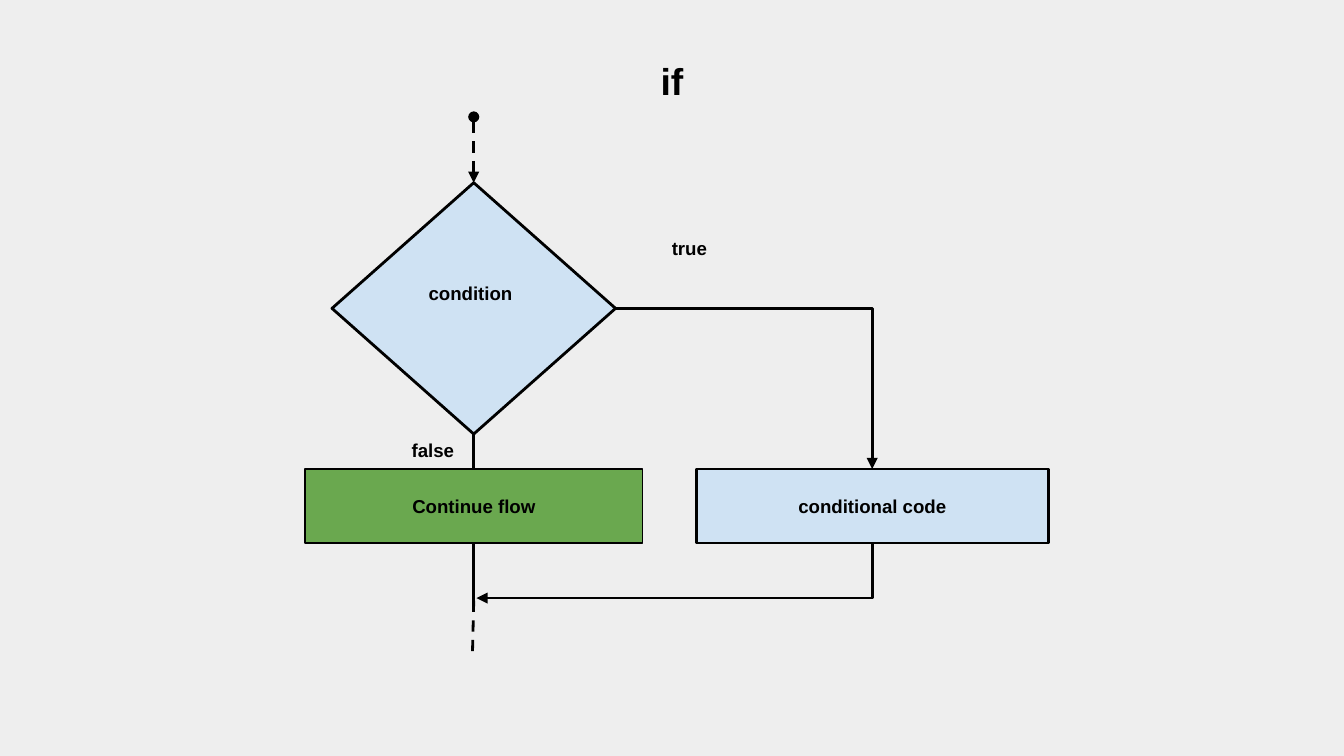
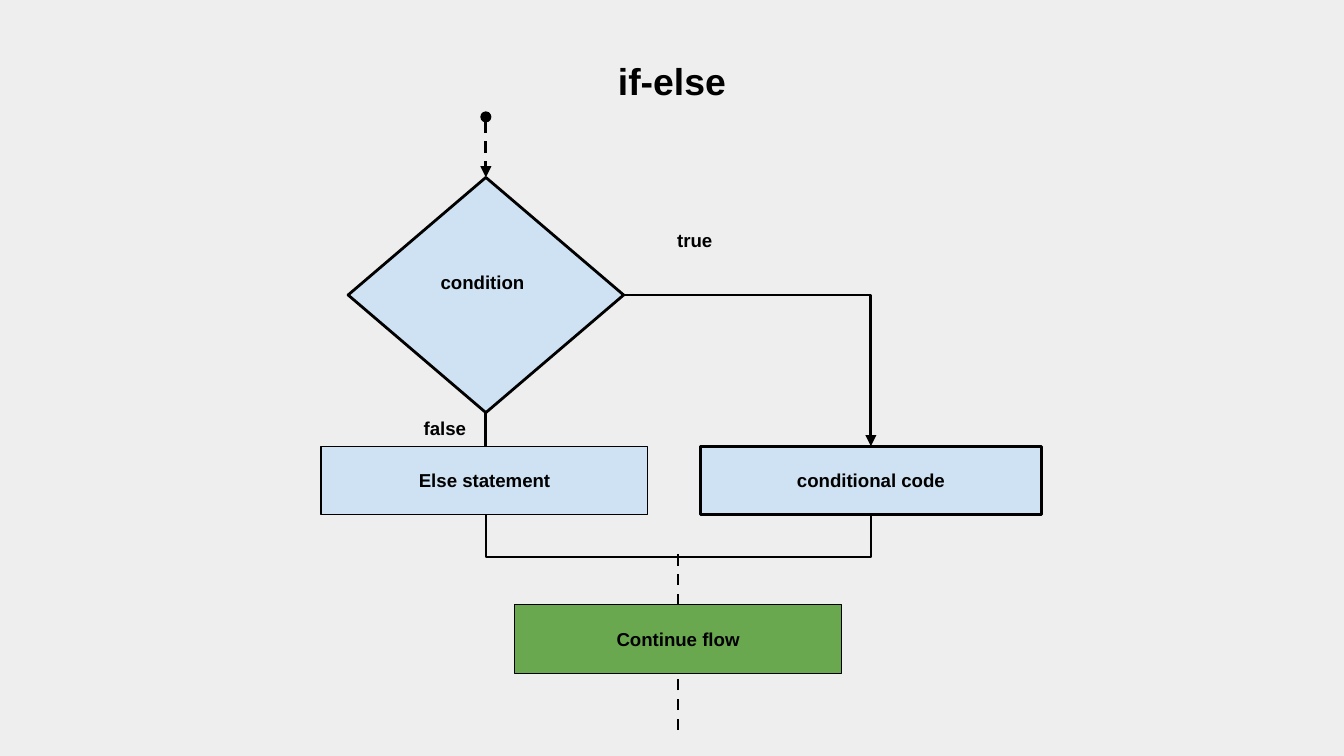
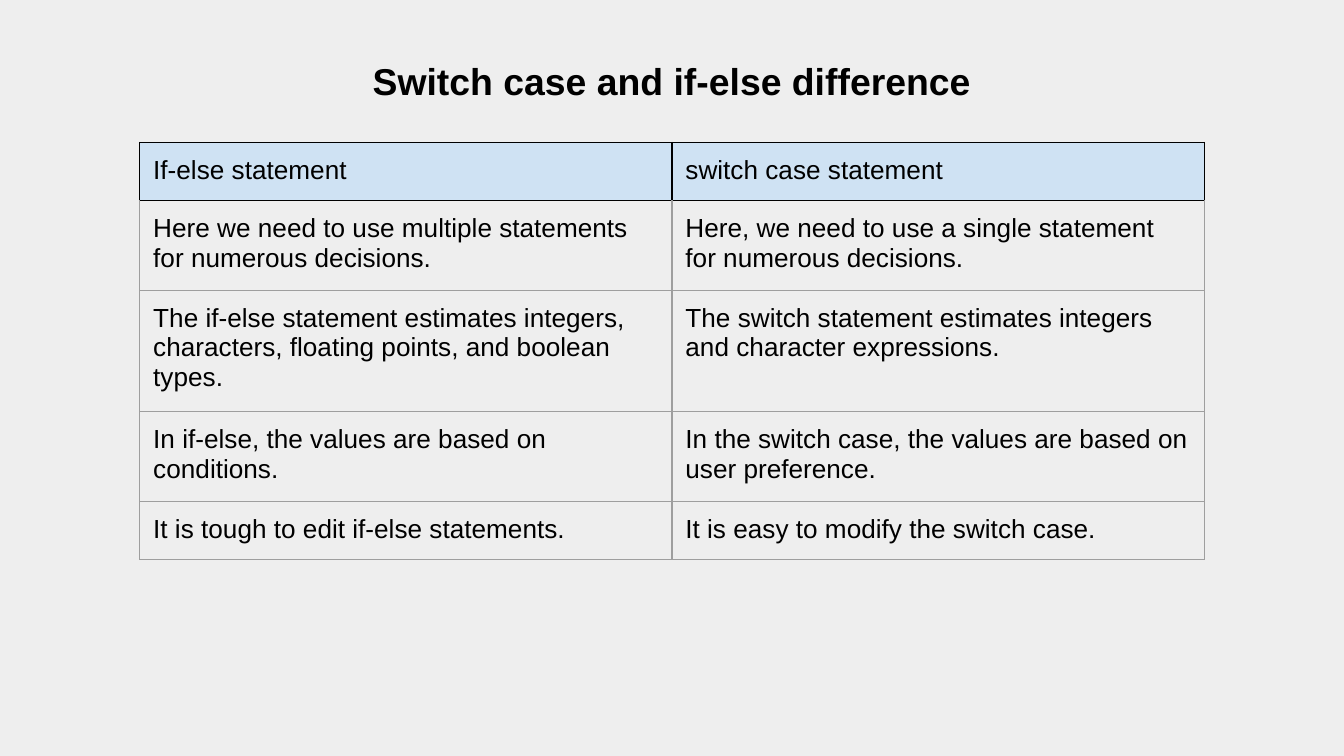
from lxml.etree import SubElement
from pptx import Presentation
from pptx.dml.color import RGBColor
from pptx.enum.dml import MSO_LINE
from pptx.enum.shapes import MSO_CONNECTOR, MSO_SHAPE
from pptx.enum.text import MSO_ANCHOR, MSO_AUTO_SIZE, PP_ALIGN
from pptx.oxml.ns import qn
from pptx.util import Inches, Pt

BLACK, BLUE, GREEN, GRAY, PAPER = "000000", "CFE2F3", "6AA84F", "9E9E9E", "EEEEEE"
FONT = "Arial"
INSET = Inches(0.1)
LABEL_HEIGHT = 0.37
ENTRY_TOP = 0.87

IF_FLOW = {
    "title": "if",
    "diamond": (2.47, 1.36, 2.11, 1.87),
    "labels": [
        ("condition", 2.19, 2.01, 2.62, PP_ALIGN.CENTER),
        ("true", 4.9, 1.68, 0.62, PP_ALIGN.LEFT),
        ("false", 2.82, 3.18, 0.8, PP_ALIGN.CENTER),
    ],
    "true_box": ("conditional code", (5.18, 3.49, 2.62, 0.55), BLUE, 1.5),
    "false_box": ("Continue flow", (2.27, 3.49, 2.51, 0.55), GREEN, 0.75),
}
IF_ELSE_FLOW = {
    "title": "if-else",
    "diamond": (2.59, 1.32, 2.05, 1.75),
    "labels": [
        ("condition", 2.32, 1.93, 2.54, PP_ALIGN.CENTER),
        ("true", 4.94, 1.62, 0.6, PP_ALIGN.LEFT),
        ("false", 2.92, 3.02, 0.78, PP_ALIGN.CENTER),
    ],
    "true_box": ("conditional code", (5.21, 3.32, 2.54, 0.51), BLUE, 1.5),
    "false_box": ("Else statement", (2.39, 3.32, 2.43, 0.51), BLUE, 0.75),
}
FINAL_BOX = ("Continue flow", (3.83, 4.5, 2.43, 0.51), GREEN, 0.75)

COMPARISON_TITLE = "Switch case and if-else difference"
COMPARISON = [
    ("If-else statement", "switch case statement"),
    ("Here we need to use multiple statements for numerous decisions.",
     "Here, we need to use a single statement for numerous decisions."),
    ("The if-else statement estimates integers, characters, floating points, and boolean types.",
     "The switch statement estimates integers and character expressions."),
    ("In if-else, the values are based on conditions.",
     "In the switch case, the values are based on user preference."),
    ("It is tough to edit if-else statements.", "It is easy to modify the switch case."),
]


def color(value):
    return RGBColor.from_string(value)


def inches(values):
    return [Inches(value) for value in values]


def write(frame, text, size=10, bold=True, align=PP_ALIGN.CENTER):
    paragraph = frame.paragraphs[0]
    paragraph.alignment = align
    run = paragraph.add_run()
    run.text = text
    run.font.name = FONT
    run.font.size = Pt(size)
    run.font.bold = bold
    run.font.color.rgb = color(BLACK)


def set_frame(frame, anchor=MSO_ANCHOR.TOP, auto_size=MSO_AUTO_SIZE.SHAPE_TO_FIT_TEXT):
    frame.margin_left = frame.margin_right = frame.margin_top = frame.margin_bottom = INSET
    frame.word_wrap = True
    frame.auto_size = auto_size
    frame.vertical_anchor = anchor


def add_slide(presentation, title):
    slide = presentation.slides.add_slide(presentation.slide_layouts[5])
    shape = slide.shapes.title
    shape.left, shape.top, shape.width, shape.height = inches((0, 0.33, 10, 0.54))
    set_frame(shape.text_frame)
    write(shape.text_frame, title, size=20)
    return slide


def add_label(shapes, text, left, top, width, align):
    label = shapes.add_textbox(*inches((left, top, width, LABEL_HEIGHT)))
    set_frame(label.text_frame)
    write(label.text_frame, text, align=align)


def add_block(shapes, kind, area, fill, weight, text=""):
    shape = shapes.add_shape(kind, *inches(area))
    shape.shadow.inherit = False
    shape.fill.solid()
    shape.fill.fore_color.rgb = color(fill)
    shape.line.color.rgb = color(BLACK)
    shape.line.width = Pt(weight)
    if text:
        set_frame(shape.text_frame, MSO_ANCHOR.MIDDLE, MSO_AUTO_SIZE.NONE)
        write(shape.text_frame, text)


def add_box(shapes, box):
    text, area, fill, weight = box
    add_block(shapes, MSO_SHAPE.RECTANGLE, area, fill, weight, text)


def add_line(shapes, start, end, kind=MSO_CONNECTOR.STRAIGHT, dashed=False, head=None, tail=None):
    connector = shapes.add_connector(kind, *inches(start + end))
    connector.line.color.rgb = color(BLACK)
    connector.line.width = Pt(1.5)
    if dashed:
        connector.line.dash_style = MSO_LINE.DASH
    properties = connector.element.spPr
    for tag, ending in (("a:headEnd", head), ("a:tailEnd", tail)):
        if ending:
            SubElement(properties.find(qn("a:ln")), qn(tag), type=ending)
    SubElement(properties, qn("a:effectLst"))
    return connector


def set_corner(connector):
    connector.element.spPr.find(qn("a:prstGeom")).set("prst", "bentConnector2")


def add_downward_bend(shapes, start, end, drop=None, corner=False, tail=None):
    run, fall = abs(end[0] - start[0]), end[1] - start[1]
    middle_x, middle_y = (start[0] + end[0]) / 2, (start[1] + end[1]) / 2
    low = (middle_x - fall / 2, middle_y - run / 2)
    high = (middle_x + fall / 2, middle_y + run / 2)
    connector = add_line(shapes, low, high, MSO_CONNECTOR.ELBOW, tail=tail)
    transform = connector.element.spPr.find(qn("a:xfrm"))
    leftward = end[0] < start[0]
    transform.set("rot", str((90 if leftward else 270) * 60000))
    if not leftward:
        transform.set("flipH", "1")
    if corner:
        set_corner(connector)
    if drop:
        guides = connector.element.spPr.find(qn("a:prstGeom")).find(qn("a:avLst"))
        SubElement(guides, qn("a:gd"), name="adj1", fmla=f"val {round(drop / fall * 100000)}")


def add_flow(presentation, flow):
    slide = add_slide(presentation, flow["title"])
    shapes = slide.shapes.add_group_shape().shapes
    left, top, width, height = flow["diamond"]
    axis, middle, bottom = left + width / 2, top + height / 2, top + height
    box_left, box_top, box_width, box_height = flow["true_box"][1]
    branch, box_bottom = box_left + box_width / 2, box_top + box_height

    add_block(shapes, MSO_SHAPE.DIAMOND, flow["diamond"], BLUE, 1.5)
    add_line(shapes, (axis, ENTRY_TOP), (axis, top), dashed=True, head="oval", tail="triangle")
    add_box(shapes, flow["true_box"])
    set_corner(add_line(shapes, (left + width, middle), (branch, box_top),
                        MSO_CONNECTOR.ELBOW, tail="triangle"))
    for label in flow["labels"]:
        add_label(shapes, *label)
    add_box(shapes, flow["false_box"])
    add_downward_bend(shapes, (axis, bottom), (axis, box_top))
    return shapes, axis, branch, box_bottom


def add_if(presentation):
    shapes, axis, branch, bottom = add_flow(presentation, IF_FLOW)
    add_downward_bend(shapes, (branch, bottom), (axis + 0.02, 4.45), corner=True, tail="triangle")
    add_line(shapes, (axis, bottom + 0.01), (axis, 4.51))
    add_line(shapes, (axis, 4.47), (axis - 0.01, 4.88), dashed=True)


def add_if_else(presentation):
    shapes, axis, branch, bottom = add_flow(presentation, IF_ELSE_FLOW)
    left, top, width, height = FINAL_BOX[1]
    exit_axis = left + width / 2
    add_box(shapes, FINAL_BOX)
    add_downward_bend(shapes, (axis, bottom), (branch, bottom + 0.01), drop=0.32)
    add_line(shapes, (exit_axis, top), (exit_axis, 4.08), dashed=True)
    add_line(shapes, (exit_axis, 5.43), (exit_axis, top + height), dashed=True)


def set_border(cell, side, value):
    line = SubElement(cell._tc.get_or_add_tcPr(), qn(f"a:ln{side}"), w=str(Pt(0.75)))
    SubElement(SubElement(line, qn("a:solidFill")), qn("a:srgbClr"), val=value)


def add_comparison(presentation):
    slide = add_slide(presentation, COMPARISON_TITLE)
    row_height, column_width = 0.42, 3.96
    area = (1.04, 1.06, 2 * column_width, len(COMPARISON) * row_height)
    table = slide.shapes.add_table(len(COMPARISON), 2, *inches(area)).table
    table.first_row = table.horz_banding = False
    for row, texts in enumerate(COMPARISON):
        for column, text in enumerate(texts):
            cell = table.cell(row, column)
            cell.margin_left = cell.margin_right = cell.margin_top = cell.margin_bottom = INSET
            for side in "LRTB":
                dark = row == 0 or (row == 1 and side == "T")
                set_border(cell, side, BLACK if dark else GRAY)
            if row == 0:
                cell.fill.solid()
                cell.fill.fore_color.rgb = color(BLUE)
            else:
                cell.fill.background()
            write(cell.text_frame, text, size=14, bold=False, align=PP_ALIGN.LEFT)


def main():
    presentation = Presentation()
    presentation.slide_width = Inches(10)
    presentation.slide_height = presentation.slide_width * 9 // 16
    background = presentation.slide_master.background.fill
    background.solid()
    background.fore_color.rgb = color(PAPER)
    add_if(presentation)
    add_if_else(presentation)
    add_comparison(presentation)
    presentation.save("out.pptx")


if __name__ == "__main__":
    main()
